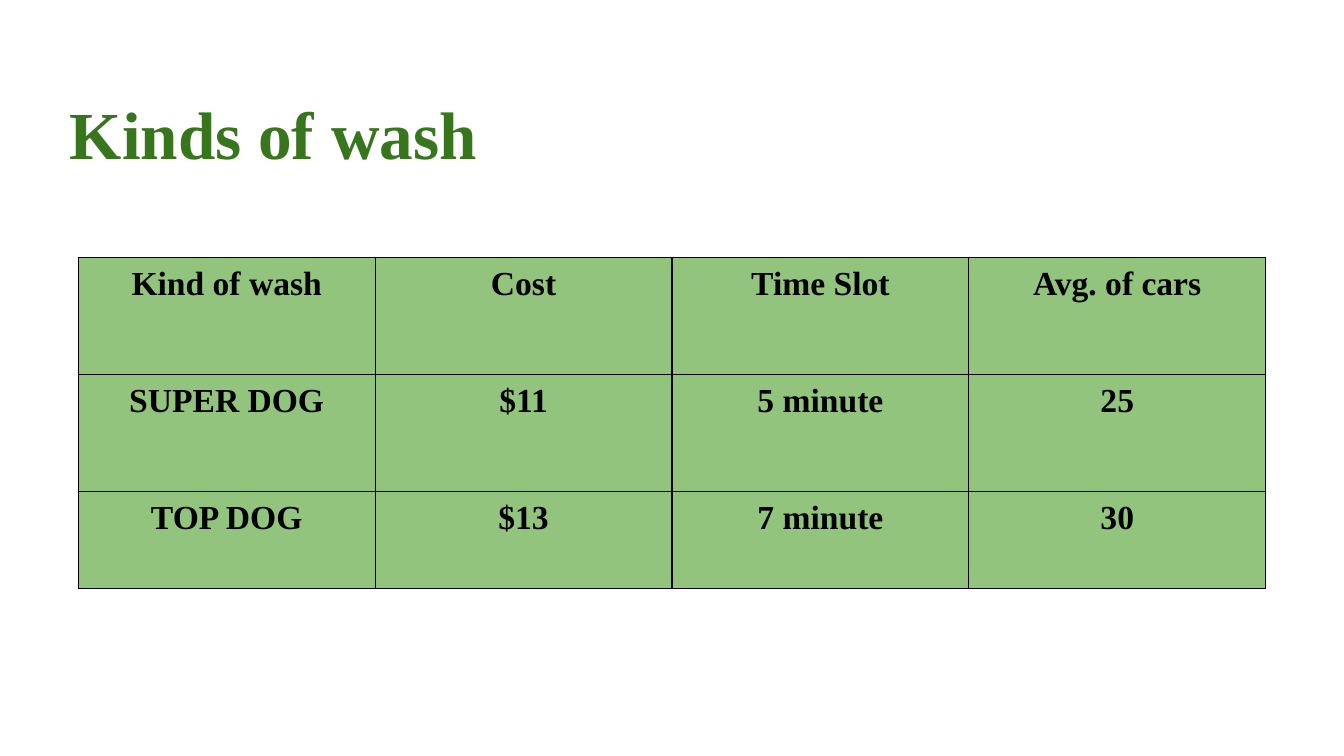
"""Build the slide that lists the kinds of car wash in a table."""
from lxml.etree import SubElement
from pptx import Presentation
from pptx.dml.color import RGBColor
from pptx.enum.text import MSO_ANCHOR, PP_ALIGN
from pptx.oxml.ns import qn
from pptx.util import Cm, Pt

DARK_GREEN = RGBColor(0x38, 0x76, 0x1D)
LIGHT_GREEN = RGBColor(0x93, 0xC4, 0x7D)
BLACK = RGBColor(0x00, 0x00, 0x00)
WHITE = RGBColor(0xFF, 0xFF, 0xFF)

ROWS = [
    ("Kind of wash", "Cost", "Time Slot", "Avg. of cars"),
    ("SUPER DOG", "$11", "5 minute", "25"),
    ("TOP DOG", "$13", "7 minute", "30"),
]


def write(tf, text, font="Times New Roman", size=18, color=BLACK, bold=True,
          align=PP_ALIGN.LEFT, spacing=1.15):
    p = tf.paragraphs[0]
    p.alignment = align
    p.line_spacing = spacing
    r = p.add_run()
    r.text = text
    r.font.name = font
    r.font.size = Pt(size)
    r.font.bold = bold
    r.font.color.rgb = color


class Deck:
    def __init__(self, width, height):
        self.prs = Presentation()
        self.prs.slide_width, self.prs.slide_height = width, height
        self.border_width = Pt(0.75)
        self.s = None

    def slide(self):
        self.s = self.prs.slides.add_slide(self.prs.slide_layouts[5])
        self.s.background.fill.solid()
        self.s.background.fill.fore_color.rgb = WHITE

    def title(self, text, left, top, width, height):
        sp = self.s.shapes.title
        sp.left, sp.top, sp.width, sp.height = left, top, width, height
        sp.line.color.rgb = WHITE
        sp.line.width = self.border_width
        tf = sp.text_frame
        tf.word_wrap = True
        tf.vertical_anchor = MSO_ANCHOR.TOP
        tf.margin_left = tf.margin_right = Cm(0.25)
        tf.margin_top = tf.margin_bottom = Cm(0.25)
        write(tf, text, size=36, color=DARK_GREEN)

    def table(self, rows, left, top, col_width, row_heights):
        cols = len(rows[0])
        table = self.s.shapes.add_table(len(rows), cols, left, top,
                                        col_width * cols, sum(row_heights)).table
        for col in table.columns:
            col.width = col_width
        for row, height, texts in zip(table.rows, row_heights, rows):
            row.height = height
            for cell, text in zip(row.cells, texts):
                self.cell(cell, text)

    def cell(self, cell, text):
        cell.margin_left = cell.margin_right = Cm(0.08)
        cell.margin_top = cell.margin_bottom = Cm(0.05)
        self.borders(cell)
        cell.fill.solid()
        cell.fill.fore_color.rgb = LIGHT_GREEN
        write(cell.text_frame, text, align=PP_ALIGN.CENTER)

    def borders(self, cell):
        tc_pr = cell._tc.get_or_add_tcPr()
        for side in ("L", "R", "T", "B"):
            ln = SubElement(tc_pr, qn(f"a:ln{side}"), w=str(self.border_width))
            fill = SubElement(ln, qn("a:solidFill"))
            SubElement(fill, qn("a:srgbClr"), val=str(BLACK))


def main():
    deck = Deck(Cm(25.4), Cm(14.29))
    deck.slide()
    deck.title("Kinds of wash", Cm(1.07), Cm(1.27), Cm(23.67), Cm(10.95))
    deck.table(ROWS, Cm(1.48), Cm(4.87), Cm(5.61), [Cm(2.21), Cm(2.21), Cm(1.83)])
    deck.prs.save("out.pptx")


if __name__ == "__main__":
    main()
